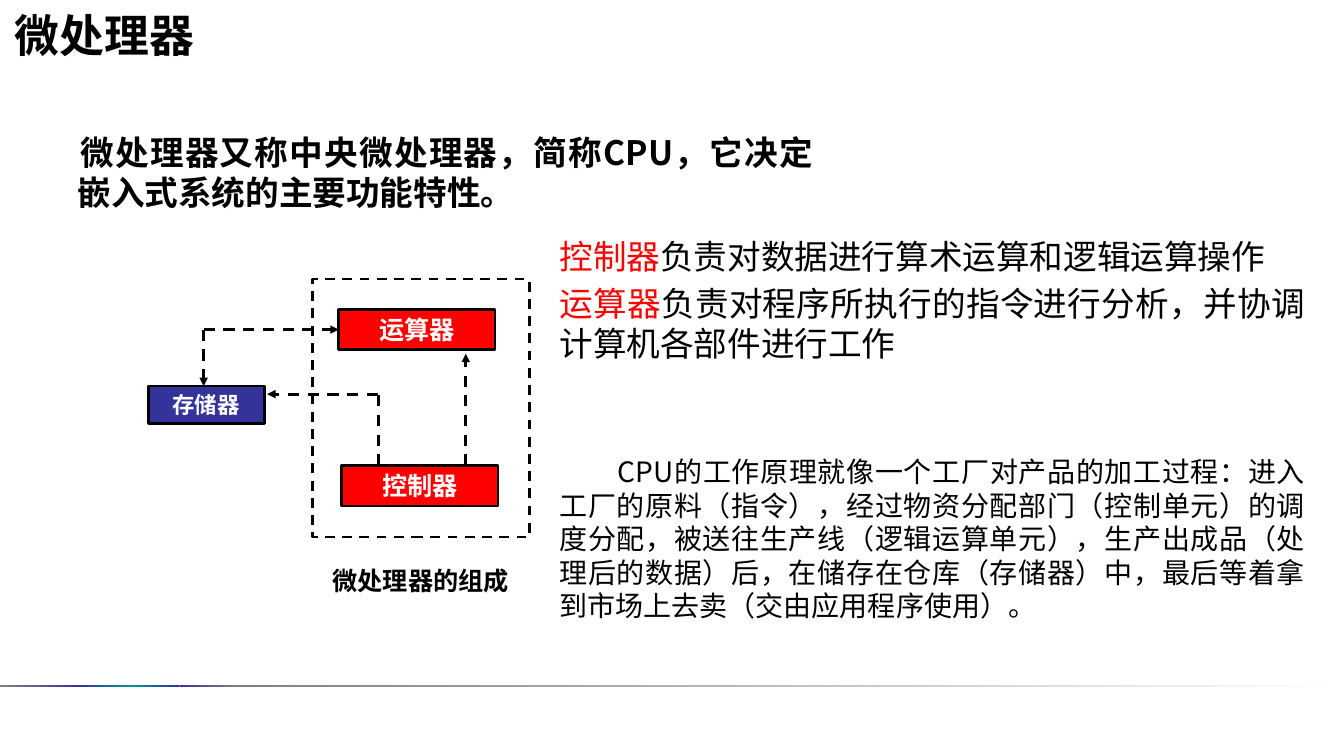
from lxml import etree
from pptx import Presentation
from pptx.dml.color import RGBColor
from pptx.enum import dml, shapes, text
from pptx.oxml.ns import qn
from pptx.util import Inches, Pt

FONT = "Noto Sans CJK SC"
BLACK = RGBColor(0, 0, 0)
WHITE = RGBColor(255, 255, 255)
RED = RGBColor(255, 0, 0)
NAVY = RGBColor(0x33, 0x33, 0x99)
TEAL = RGBColor(0, 0x99, 0x99)
GREY = RGBColor(0x80, 0x80, 0x80)
LEFT, CENTER, JUST = (text.PP_ALIGN.LEFT, text.PP_ALIGN.CENTER,
                      text.PP_ALIGN.JUSTIFY)
TOP, MID = text.MSO_ANCHOR.TOP, text.MSO_ANCHOR.MIDDLE
DASH = dml.MSO_LINE.DASH


def write(shape, paras, size, bold=False, align=LEFT, anchor=TOP, gap=0):
    """Fill a shape with paragraphs, each a list of (words, color) runs."""
    frame = shape.text_frame
    frame.word_wrap = True
    frame.vertical_anchor = anchor
    for i, runs in enumerate(paras):
        para = frame.paragraphs[0] if i == 0 else frame.add_paragraph()
        para.alignment = align
        para.space_before = Pt(gap if i else 0)
        for words, color in runs:
            run = para.add_run()
            run.text = words
            look = {"size": Pt(size), "bold": bold, "name": FONT}
            for key, val in look.items():
                setattr(run.font, key, val)
            run.font.color.rgb = color
            east = etree.SubElement(run.font._element, qn("a:ea"))
            east.set("typeface", FONT)
    return frame.paragraphs[0]


def label(slide, box, paras, size, **look):
    area = slide.shapes.add_textbox(*map(Inches, box))
    return write(area, paras, size, **look)


def indent(para, first, left=0):
    props = para._p.get_or_add_pPr()
    props.set("marL", str(Inches(left)))
    props.set("indent", str(Inches(first)))


def block(slide, box, fill=None, width=2.0):
    shape = slide.shapes.add_shape(shapes.MSO_SHAPE.RECTANGLE,
                                   *map(Inches, box))
    shape.shadow.inherit = False
    if fill is None:
        shape.fill.background()
    else:
        shape.fill.solid()
        shape.fill.fore_color.rgb = fill
    shape.line.color.rgb = BLACK
    shape.line.width = Pt(width)
    return shape


def link(slide, start, end, arrow=True):
    line = slide.shapes.add_connector(shapes.MSO_CONNECTOR.STRAIGHT,
                                      *map(Inches, start + end))
    line.line.color.rgb = BLACK
    line.line.width = Pt(2)
    line.line.dash_style = DASH
    if arrow:
        tip = etree.SubElement(line.line._get_or_add_ln(), qn("a:tailEnd"))
        tip.set("type", "triangle")
    etree.SubElement(line._element.spPr, qn("a:effectLst"))
    return line


def footer(slide, box):
    """Thin band whose colors blend between fixed stops."""
    left, top, width, height = box
    stops = [(0, GREY, NAVY), (0.81, NAVY, TEAL), (1.3, TEAL, NAVY),
             (1.78, NAVY, GREY), (2.36, GREY, WHITE)]
    ends = [stop[0] for stop in stops[1:]] + [width]
    for (x, one, two), end in zip(stops, ends):
        part = block(slide, (left + x, top, end - x, height))
        part.line.fill.background()
        part.fill.gradient()
        part.fill.gradient_angle = 0
        for stop, color in zip(part.fill.gradient_stops, (one, two)):
            stop.color.rgb = color


def diagram(slide, box):
    x, y, width, height = box
    frame = block(slide, (x + 1.63, y, 2.15, 2.56), width=1.75)
    frame.line.dash_style = DASH
    # Named units
    units = {}
    for name, dx, dy, w, h, fill, size in [
            ("运算器", 1.89, 0.3, 1.55, 0.4, RED, 18),
            ("存储器", 0, 1.06, 1.15, 0.37, NAVY, 16),
            ("控制器", 1.92, 1.85, 1.55, 0.4, RED, 18)]:
        unit = block(slide, (x + dx, y + dy, w, h), fill)
        write(unit, [[(name, WHITE)]], size, bold=True, align=CENTER,
              anchor=MID)
        units[name] = unit
    # Dashed flows
    bend, turn = (x + 0.55, y + 0.5), (x + 2.28, y + 1.14)
    link(slide, (x + 3.15, y + 1.85), (x + 3.15, y + 0.74))
    link(slide, (x + 2.28, y + 1.85), turn, arrow=False)
    link(slide, turn, (x + 1.18, y + 1.14))
    link(slide, bend, (x + 0.55, y + 1.06))
    flow = link(slide, bend, (x + 1.89, y + 0.5))
    flow.end_connect(units["运算器"], 1)
    # Caption
    label(slide, (x + 1.73, y + height - 0.4, 2.13, 0.4),
          [[("微处理器的组成", BLACK)]], 18, bold=True)


def notes(slide, box):
    """Right column: unit duties above, factory analogy below."""
    x, y, width, height = box
    label(slide, (x, y, width, 1.54), [
        [("控制器", RED), ("负责对数据进行算术运算和逻辑运算操作", BLACK)],
        [("运算器", RED),
         ("负责对程序所执行的指令进行分析，并协调计算机各部件进行工作", BLACK)],
    ], 24, align=JUST, gap=4.8)
    para = label(slide, (x, y + height - 2.2, width, 2.2), [[(
        "CPU的工作原理就像一个工厂对产品的加工过程：进入工厂的原料（指令），"
        "经过物资分配部门（控制单元）的调度分配，被送往生产线（逻辑运算单元），"
        "生产出成品（处理后的数据）后，在储存在仓库（存储器）中，"
        "最后等着拿到市场上去卖（交由应用程序使用）。", BLACK)]],
        20, align=JUST)
    indent(para, 0.58)


def heading(slide, box):
    x, y, width, height = box
    label(slide, (x, y, width, 0.63), [[("微处理器", BLACK)]], 32,
          bold=True, anchor=MID)
    para = label(slide, (x + 0.24, y + height - 1.02, 7.87, 1.02), [[(
        "微处理器又称中央微处理器，简称CPU，它决定嵌入式系统的主要功能特性。",
        BLACK)]], 24, bold=True, align=JUST)
    indent(para, 0.03, 0.38)


def main():
    deck = Presentation()
    deck.slide_width, deck.slide_height = Inches(13.33), Inches(7.5)
    slide = deck.slides.add_slide(deck.slide_layouts[6])
    footer(slide, (0, 6.8, 13.33, 0.02))
    heading(slide, (0.05, 0.03, 12, 2.25))
    diagram(slide, (1.47, 2.77, 3.86, 3.19))
    notes(slide, (5.45, 2.29, 7.59, 4.37))
    deck.save("out.pptx")


if __name__ == "__main__":
    main()
